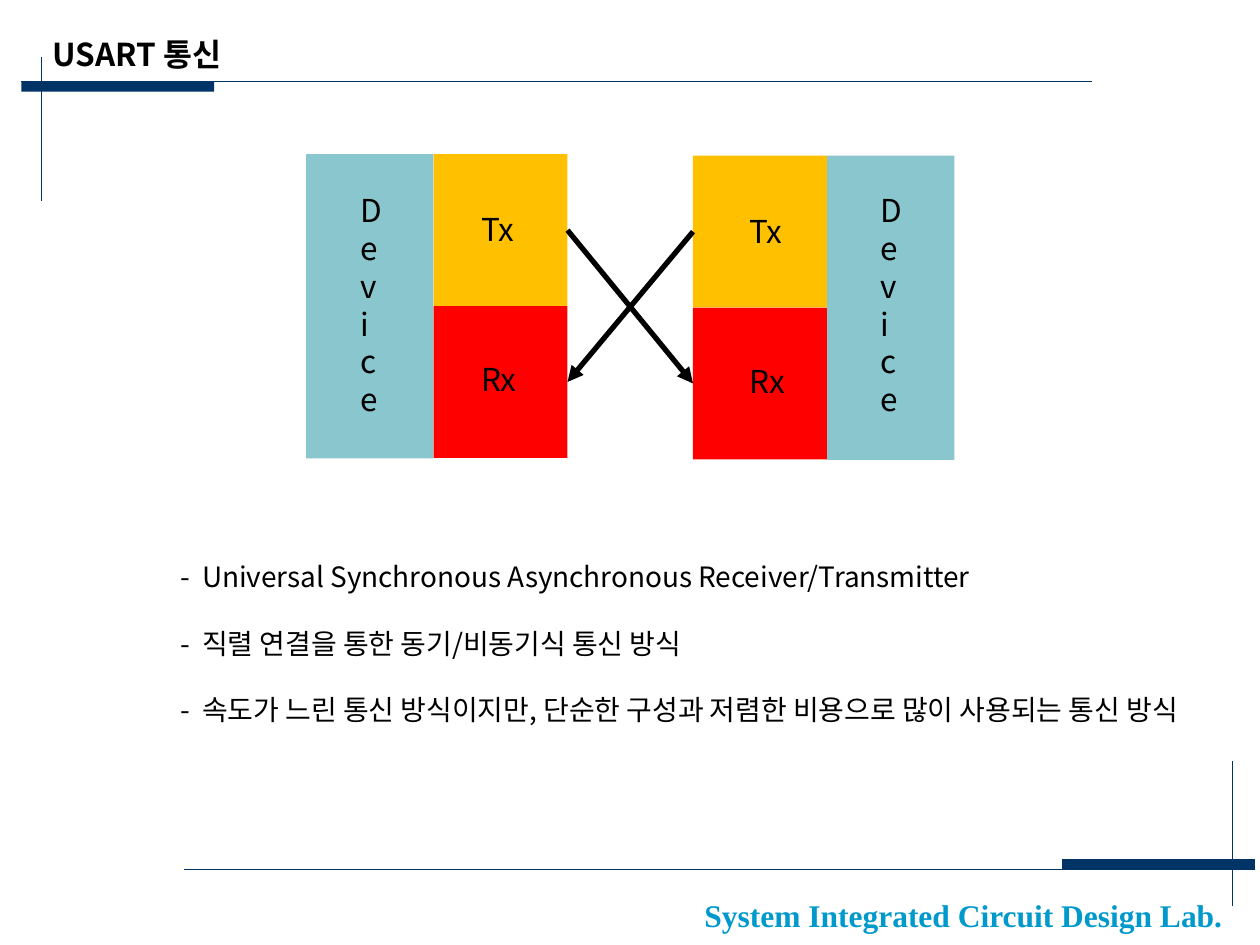
from lxml import etree
from pptx import Presentation
from pptx import util as u
from pptx.dml.color import RGBColor
from pptx.enum import shapes, text
from pptx.oxml import ns

NAVY = RGBColor(0x00, 0x33, 0x66)
CYAN = RGBColor(0x00, 0x99, 0xCC)
TEAL = RGBColor(0x8A, 0xC6, 0xCD)
AMBER = RGBColor(0xFF, 0xC0, 0x00)
RED = RGBColor(0xFF, 0x00, 0x00)
BLACK = RGBColor(0x00, 0x00, 0x00)
SANS = "Noto Sans CJK KR"
SERIF = "Times New Roman"


class PageBuilder:
    """Holds the default text style and the current page; lengths are in cm."""

    def __init__(self, page, font=SANS, size=18, color=BLACK):
        self.page = page
        self.font, self.size, self.color = font, size, color

    def block(self, left, top, width, height, fill):
        box = self.page.shapes.add_shape(
            shapes.MSO_SHAPE.RECTANGLE,
            u.Cm(left), u.Cm(top), u.Cm(width), u.Cm(height))
        box.shadow.inherit = False
        box.fill.solid()
        box.fill.fore_color.rgb = fill
        box.line.fill.background()
        return box

    def line(self, x1, y1, x2, y2, color=NAVY, weight=0.75):
        rule = self.page.shapes.add_connector(
            shapes.MSO_CONNECTOR.STRAIGHT,
            u.Cm(x1), u.Cm(y1), u.Cm(x2), u.Cm(y2))
        rule.line.color.rgb = color
        rule.line.width = u.Pt(weight)
        etree.SubElement(rule._element.spPr, ns.qn("a:effectLst"))
        return rule

    def arrow(self, source, source_side, target, target_side):
        rule = self.line(0, 0, 1, 1, BLACK, 3)
        rule.begin_connect(source, source_side)
        rule.end_connect(target, target_side)
        etree.SubElement(rule.line._get_or_add_ln(), ns.qn("a:tailEnd"), type="triangle")

    def text(self, left, top, width, height, *lines, size=None, font=None,
             color=None, bold=False, align=text.PP_ALIGN.LEFT, gap=0):
        box = self.page.shapes.add_textbox(
            u.Cm(left), u.Cm(top), u.Cm(width), u.Cm(height))
        frame = box.text_frame
        frame.word_wrap = True
        frame.text = "\n".join(lines)
        for index, para in enumerate(frame.paragraphs):
            para.alignment = align
            para.space_before = u.Pt(gap if index else 0)
            para.font.name = font or self.font
            para.font.size = u.Pt(size or self.size)
            para.font.bold = bold
            para.font.color.rgb = color or self.color
            for span in para.runs:
                etree.SubElement(span._r.get_or_add_rPr(), ns.qn("a:ea"),
                                 typeface=font or self.font)


def main():
    deck = Presentation()
    deck.slide_width, deck.slide_height = u.Cm(25.4), u.Cm(19.05)
    builder = PageBuilder(deck.slides.add_slide(deck.slide_layouts[6]))

    # Corner rules and bars
    builder.line(24.84, 18.26, 24.84, 15.34, weight=0.25)
    builder.block(21.41, 17.32, 3.89, 0.2, NAVY)
    builder.line(25.3, 17.53, 3.71, 17.53)
    builder.block(0.43, 1.65, 3.89, 0.2, NAVY)
    builder.line(0.43, 1.65, 22.02, 1.65)
    builder.line(0.84, 4.06, 0.84, 1.14, weight=0.25)

    # Footer, title and description
    builder.text(13.89, 17.93, 11.07, 1.02, "System Integrated Circuit Design Lab.",
                 font=SERIF, color=CYAN, bold=True, align=text.PP_ALIGN.CENTER)
    builder.text(0.81, 0.58, 17.86, 1.02, "USART 통신", bold=True)
    builder.text(3.38, 11.15, 21.21, 4.32,
                 "-  Universal Synchronous Asynchronous Receiver/Transmitter",
                 "-  직렬 연결을 통한 동기/비동기식 통신 방식",
                 "-  속도가 느린 통신 방식이지만, 단순한 구성과 저렴한 비용으로 "
                 "많이 사용되는 통신 방식",
                 size=16, gap=19)

    # Two devices: body, Tx and Rx ports, labels
    ports = []
    for body_x, port_x, name_x, label_x, top in (
            (6.17, 8.74, 7.01, 9.45, 3.11), (16.67, 13.97, 17.5, 14.86, 3.14)):
        builder.block(body_x, top, 2.57, 6.13, TEAL)
        rx = builder.block(port_x, top + 3.06, 2.7, 3.06, RED)
        tx = builder.block(port_x, top, 2.7, 3.06, AMBER)
        ports.append((tx, rx))
        builder.text(name_x, 3.73, 0.89, 4.83, "Device")
        for row, label in enumerate(("Tx", "Rx")):
            builder.text(label_x, top + 1 + row * 3.03, 1.27, 1.02, label)

    # Crossed signal arrows
    (left_tx, left_rx), (right_tx, right_rx) = ports
    builder.arrow(left_tx, 3, right_rx, 1)
    builder.arrow(right_tx, 1, left_rx, 3)

    deck.save("out.pptx")


if __name__ == "__main__":
    main()
